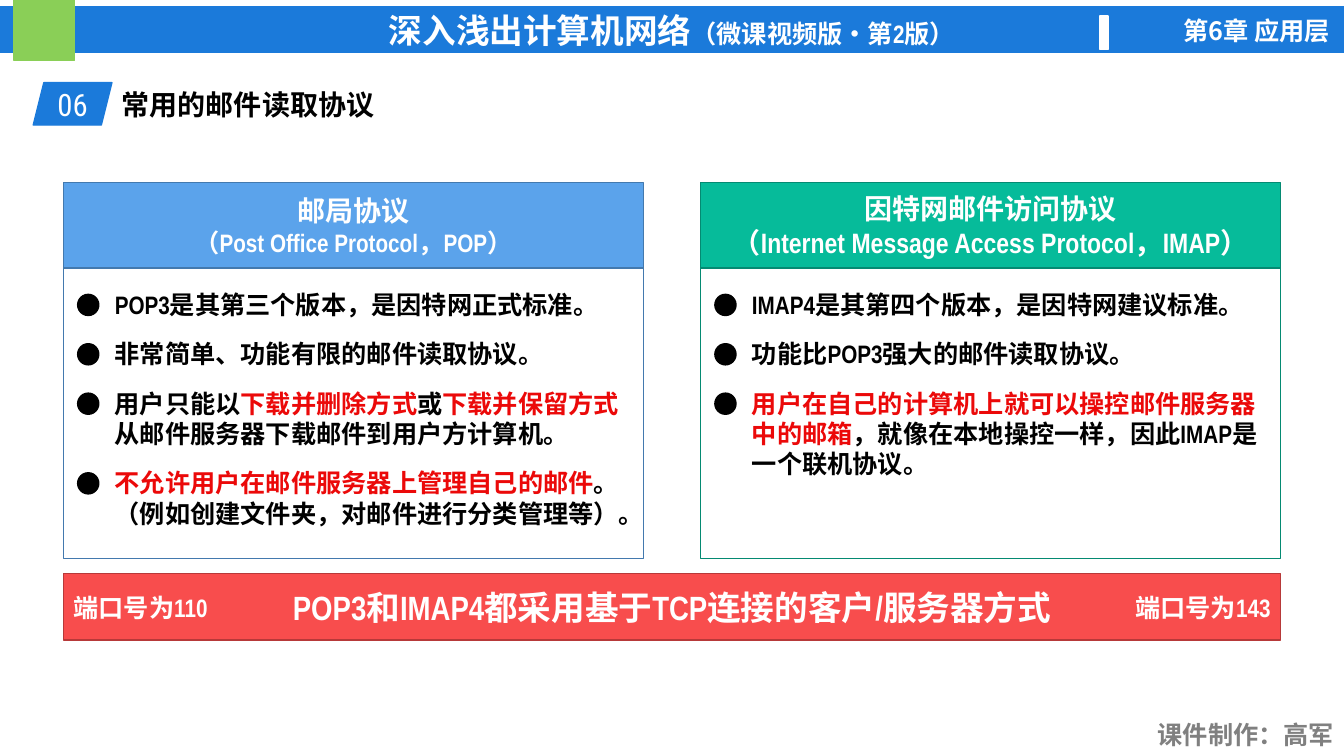
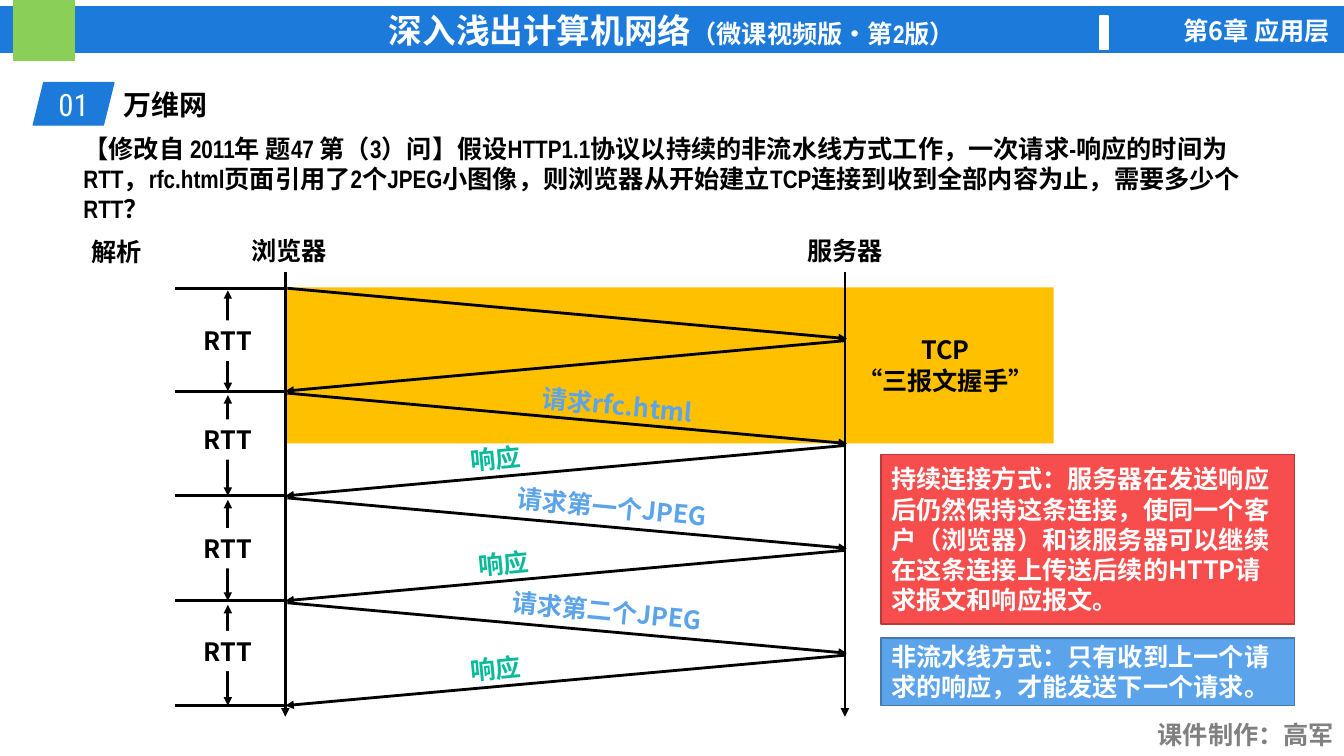
from lxml import etree
from pptx import Presentation
from pptx.dml.color import RGBColor
from pptx.enum.shapes import MSO_CONNECTOR, MSO_SHAPE
from pptx.enum.text import MSO_ANCHOR, MSO_AUTO_SIZE, PP_ALIGN
from pptx.oxml.ns import qn
from pptx.util import Inches, Pt

RECT, OVAL, SLANT = MSO_SHAPE.RECTANGLE, MSO_SHAPE.OVAL, MSO_SHAPE.PARALLELOGRAM
STRAIGHT = MSO_CONNECTOR.STRAIGHT
LEFT, CENTER, RIGHT = PP_ALIGN.LEFT, PP_ALIGN.CENTER, PP_ALIGN.RIGHT
TOP, MIDDLE = MSO_ANCHOR.TOP, MSO_ANCHOR.MIDDLE
GROW = MSO_AUTO_SIZE.SHAPE_TO_FIT_TEXT

BLUE, LIME, WHITE, BLACK, GREY = "1B7ADA", "8ACF57", "FFFFFF", "000000", "808080"
SKY, SKY_EDGE = "5BA3EB", "4379AE"
TEAL, TEAL_EDGE = "06BB9A", "048A72"
CORAL, CORAL_EDGE = "F84D4D", "B73939"
RED, AMBER = "EB0909", "FFC000"
NARROW, SANS, CONDENSED = "Arial Narrow", "Noto Sans CJK SC", "Roboto Condensed"


def rgb(value):
    return RGBColor.from_string(value)


def write(sp, paras, align=LEFT, anchor=TOP, **base):
    tf = sp.text_frame
    tf.word_wrap = True
    tf.vertical_anchor = anchor
    if isinstance(paras, str):
        paras = [[(paras, {})]]
    for i, runs in enumerate(paras):
        p = tf.paragraphs[0] if i == 0 else tf.add_paragraph()
        p.alignment = align
        for text, changes in runs:
            fmt = {"size": 18, "bold": True, "name": NARROW, "color": BLACK, **base, **changes}
            r = p.add_run()
            r.text = text
            r.font.color.rgb = rgb(fmt.pop("color"))
            fmt["size"] = Pt(fmt["size"])
            for key, value in fmt.items():
                setattr(r.font, key, value)
            etree.SubElement(r.font._element, qn("a:ea"), typeface=SANS)


def shape(s, kind, box, fill, edge=None):
    sp = s.shapes.add_shape(kind, *map(Inches, box))
    sp.shadow.inherit = False
    sp.fill.solid()
    sp.fill.fore_color.rgb = rgb(fill)
    if edge:
        sp.line.color.rgb = rgb(edge)
        sp.line.width = Pt(1)
    else:
        sp.line.fill.background()
    return sp


def label(s, box, paras, rotation=0, fill=None, **fmt):
    sp = s.shapes.add_textbox(*map(Inches, box))
    write(sp, paras, **fmt)
    sp.text_frame.auto_size = GROW
    sp.rotation = rotation
    if fill:
        sp.fill.solid()
        sp.fill.fore_color.rgb = rgb(fill)
    return sp


def line(s, x1, y1, x2, y2, *arrow_ends):
    c = s.shapes.add_connector(STRAIGHT, *map(Inches, (x1, y1, x2, y2)))
    c.line.color.rgb = rgb(BLACK)
    c.line.width = Pt(2)
    ln = c.line._get_or_add_ln()
    for end in arrow_ends:
        etree.SubElement(ln, qn("a:" + end), type="triangle")
    etree.SubElement(c._element.spPr, qn("a:effectLst"))


def frame(s):
    band = shape(s, RECT, (0, 0.07, 13.33, 0.45), BLUE, BLUE)
    write(band, [[("深入浅出计算机网络", {"size": 24}), ("（微课视频版•第2版）", {})]],
          CENTER, MIDDLE, color=WHITE)
    shape(s, RECT, (0.14, 0, 0.6, 0.6), LIME, LIME)
    shape(s, RECT, (10.91, 0.16, 0.08, 0.33), WHITE, WHITE)
    label(s, (11.11, 0.1, 2.18, 0.4), "第6章 应用层", align=RIGHT, name=SANS, color=WHITE)
    label(s, (11.34, 7.09, 1.99, 0.4), "课件制作：高军", align=RIGHT, color=GREY)


def heading(s, number, title, tag_width):
    x, y = 0.33, 0.82
    tag = shape(s, SLANT, (x, y, tag_width, 0.42), BLUE, BLUE)
    for side in ("left", "right", "top", "bottom"):
        setattr(tag.text_frame, "margin_" + side, 0)
    write(tag, number, CENTER, MIDDLE, size=22, name=CONDENSED, bold=False, color=WHITE)
    label(s, (x + tag_width, y, 9.5, 0.44), title, size=20)


def protocol_card(s, x, y, fill, edge, title, items):
    w, head_h, body_h, dot = 5.75, 0.85, 2.88, 0.21
    head = shape(s, RECT, (x, y, w, head_h), fill, edge)
    write(head, title, CENTER, MIDDLE, size=20, color=WHITE)
    shape(s, RECT, (x, y + head_h, w, body_h), WHITE, edge)
    top = y + head_h + 0.16
    for line_count, runs in items:
        shape(s, OVAL, (x + 0.14, top + 0.1, dot, dot), BLACK, BLACK)
        label(s, (x + 0.41, top, 5.27, 0.1 + 0.3 * line_count), [runs])
        top += 0.19 + 0.3 * line_count


def port_banner(s, x, y, w, h):
    banner = shape(s, RECT, (x, y, w, h), CORAL, CORAL_EDGE)
    write(banner, "POP3和IMAP4都采用基于TCP连接的客户/服务器方式", CENTER, MIDDLE,
          size=24, color=WHITE)
    port_w = 1.8
    for left, text, align in ((x, "端口号为110", LEFT), (x + w - port_w, "端口号为143", RIGHT)):
        label(s, (left, y + 0.14, port_w, 0.4), text, align=align, color=WHITE)


def mail_slide(s):
    frame(s)
    heading(s, "06", "常用的邮件读取协议", 0.78)
    red = {"color": RED}
    port_banner(s, 0.63, 5.69, 12.07, 0.66)
    protocol_card(s, 0.63, 1.81, SKY, SKY_EDGE,
                  [[("邮局协议", {})], [("（Post Office Protocol，POP）", {"size": 18})]],
                  [(1, [("POP3是其第三个版本，是因特网正式标准。", {})]),
                   (1, [("非常简单、功能有限的邮件读取协议。", {})]),
                   (2, [("用户只能以", {}), ("下载并删除方式", red), ("或", {}),
                        ("下载并保留方式", red),
                        ("从邮件服务器下载邮件到用户方计算机。", {})]),
                   (2, [("不允许用户在邮件服务器上管理自己的邮件", red),
                        ("。（例如创建文件夹，对邮件进行分类管理等）。", {})])])
    protocol_card(s, 6.95, 1.81, TEAL, TEAL_EDGE,
                  [[("因特网邮件访问协议", {})],
                   [("（Internet Message Access Protocol，IMAP）", {})]],
                  [(1, [("IMAP4是其第四个版本，是因特网建议标准。", {})]),
                   (1, [("功能比POP3强大的邮件读取协议。", {})]),
                   (3, [("用户在自己的计算机上就可以操控邮件服务器中的邮箱", red),
                        ("，就像在本地操控一样，因此IMAP是一个联机协议。", {})])])


def round_trip(s, client, server, y, request, request_box, reply_x, rtt_dy):
    trip, gap, tilt = 0.5, 0.02, 5.5
    end = y + 2 * trip + gap
    line(s, client + 0.02, y, server + 0.02, y + trip, "tailEnd")
    line(s, server, y + trip + gap, client, end, "tailEnd")
    if request:
        x, dy, w = request_box
        label(s, (x, y + dy, w, 0.4), request, tilt, align=CENTER, name=SANS, color=SKY)
    if reply_x:
        label(s, (reply_x, y + 0.45, 1.97, 0.4), "响应", -tilt,
              align=CENTER, name=SANS, color=TEAL)
    line(s, client, end, client - 1.09, end)
    line(s, client - 0.57, y + gap, client - 0.57, end, "headEnd", "tailEnd")
    label(s, (client - 0.95, y + rtt_dy, 0.76, 0.4), "RTT", fill=WHITE,
          align=CENTER, name=SANS)


def sequence_diagram(s, client, server, y):
    shape(s, RECT, (client, y - 0.01, 7.62, 1.55), AMBER)
    label(s, (server, y + 0.41, 1.99, 0.71), [[("TCP", {})], [("“三报文握手”", {})]],
          align=CENTER, name=SANS)
    for x, name in ((client + 0.04, "浏览器"), (server, "服务器")):
        label(s, (x - 0.75, y - 0.57, 1.5, 0.4), name, align=CENTER, name=SANS)
    for x in (client, server):
        line(s, x, y - 0.16, x, y + 4.25, "tailEnd")
    line(s, client, y, client - 1.09, y)
    rounds = [(None, None, None, 0.32),
              ("请求rfc.html", (5.14, -0.08, 1.97), 3.93, 0.26),
              ("请求第一个JPEG", (5.01, -0.11, 2.12), 4.01, 0.3),
              ("请求第二个JPEG", (4.96, -0.12, 2.12), 3.93, 0.28)]
    for i, parts in enumerate(rounds):
        round_trip(s, client, server, y + 1.04 * i, *parts)


def web_slide(s):
    frame(s)
    heading(s, "01", "万维网", 0.8)
    sequence_diagram(s, 2.83, 8.38, 2.86)
    notes = [(4.51, 1.68, CORAL, CORAL_EDGE,
              "持续连接方式：服务器在发送响应后仍然保持这条连接，使同一个客户（浏览器）"
              "和该服务器可以继续在这条连接上传送后续的HTTP请求报文和响应报文。"),
             (6.33, 0.67, SKY, SKY_EDGE,
              "非流水线方式：只有收到上一个请求的响应，才能发送下一个请求。")]
    for y, h, fill, edge, text in notes:
        write(shape(s, RECT, (8.74, y, 4.1, h), fill, edge), text, LEFT, MIDDLE,
              name=SANS, color=WHITE)
    label(s, (0.81, 2.3, 0.76, 0.4), "解析")
    question = s.shapes.add_textbox(*map(Inches, (0.73, 1.4, 12.04, 0.74)))
    write(question,
          "【修改自 2011年 题47 第（3）问】假设HTTP1.1协议以持续的非流水线方式工作，"
          "一次请求-响应的时间为RTT，rfc.html页面引用了2个JPEG小图像，"
          "则浏览器从开始建立TCP连接到收到全部内容为止，需要多少个RTT？", LEFT, MIDDLE)


def main():
    prs = Presentation()
    prs.slide_width, prs.slide_height = Inches(13.33), Inches(7.5)
    for build in (mail_slide, web_slide):
        build(prs.slides.add_slide(prs.slide_layouts[6]))
    prs.save("out.pptx")


if __name__ == "__main__":
    main()
